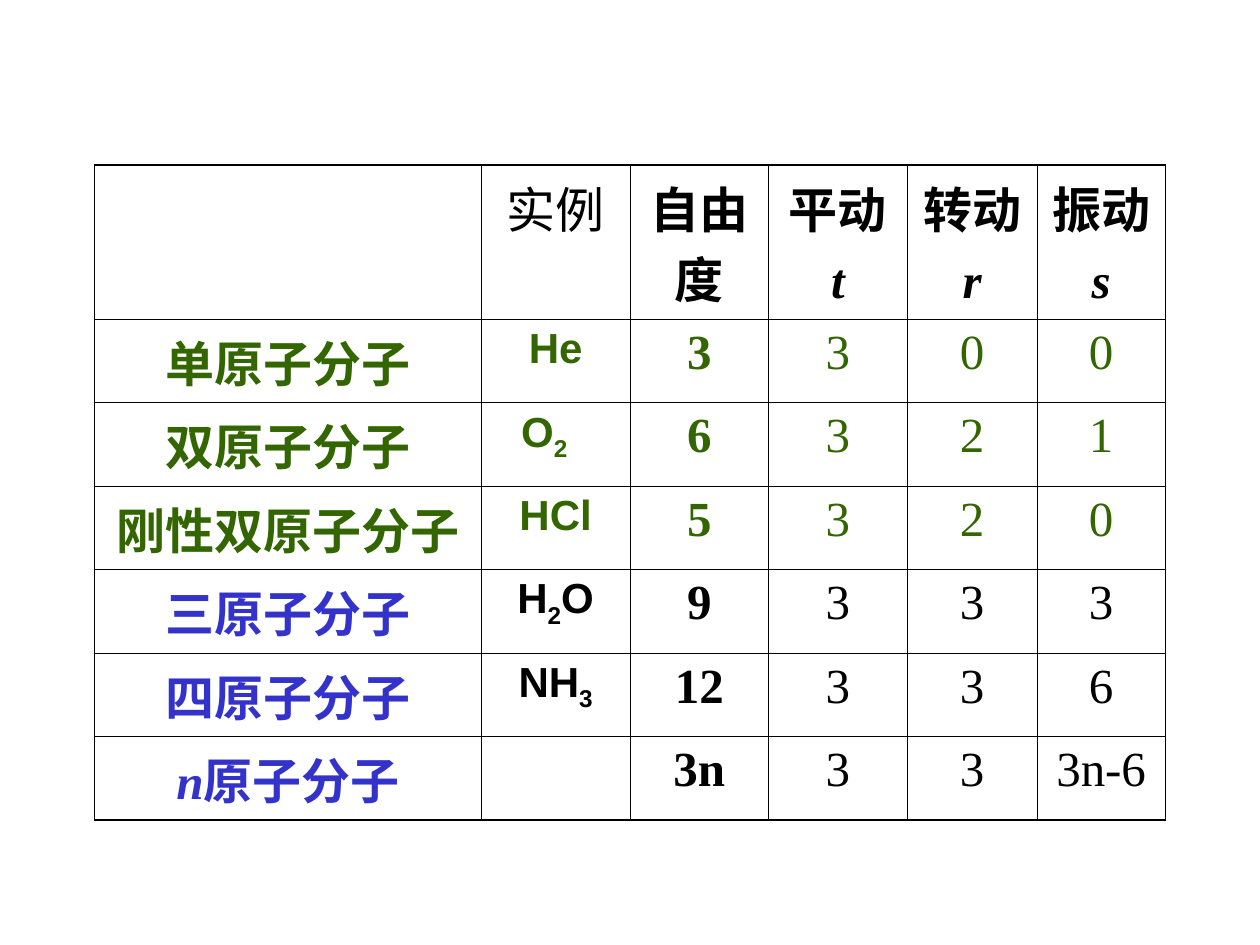
import pptx
import pptx.util
import pptx.dml.color
import pptx.enum.text
from lxml import etree

Inches, Pt = pptx.util.Inches, pptx.util.Pt
NS = "http://schemas.openxmlformats.org/drawingml/2006/main"
COLORS = {"ink": "000000", "green": "336600", "blue": "3333CC"}
THIN, THICK = 0.45, 1.08

# "|" switches to marked text and back: subscript in formulas, italic elsewhere
ROWS = [
    ["", "实例", "自由度", "平动\n|t", "转动\n|r", "振动\n|s"],
    ["单原子分子", "He", "3", "3", "0", "0"],
    ["双原子分子", "O|2", "6", "3", "2", "1"],
    ["刚性双原子分子", "HCl", "5", "3", "2", "0"],
    ["三原子分子", "H|2|O", "9", "3", "3", "3"],
    ["四原子分子", "NH|3", "12", "3", "3", "6"],
    ["|n|原子分子", "", "3n", "3", "3", "3n-6"],
]
WIDTHS = [3.07, 1.18, 1.1, 1.1, 1.03, 1.02]
HEIGHTS = [1.13] + [0.57] * 6


def add_edge(cell, side, width):
    props = cell._tc.get_or_add_tcPr()
    line = etree.SubElement(props, f"{{{NS}}}ln{side}", w=str(int(Pt(width))))
    fill = etree.SubElement(line, f"{{{NS}}}solidFill")
    etree.SubElement(fill, f"{{{NS}}}srgbClr", val=COLORS["ink"])


def write(cell, text, size, face, color, bold, sub):
    """Fill a cell line by line; sub makes marked text subscript, not italic."""
    cell.text_frame.text = text.replace("|", "")
    for para, line in zip(cell.text_frame.paragraphs, text.split("\n")):
        para.text = ""
        para.alignment = pptx.enum.text.PP_ALIGN.CENTER
        para.space_before = Pt(size / 4)
        for i, part in enumerate(line.split("|")):
            if not part:
                continue
            run = para.add_run()
            run.text = part
            font = run.font
            font.size, font.name, font.bold = Pt(size), face, bold
            font.color.rgb = pptx.dml.color.RGBColor.from_string(COLORS[color])
            if i % 2 and sub:
                run._r.get_or_add_rPr().set("baseline", "-25000")
            else:
                font.italic = i % 2 == 1


deck = pptx.Presentation()
deck.slide_width, deck.slide_height = Inches(10), Inches(7.5)
slide = deck.slides.add_slide(deck.slide_layouts[6])
frame = slide.shapes.add_table(
    len(ROWS), len(WIDTHS), Inches(0.75), Inches(1.31),
    Inches(sum(WIDTHS)), Inches(sum(HEIGHTS)))
table = frame.table
table.first_row = table.horz_banding = False
for col, width in zip(table.columns, WIDTHS):
    col.width = Inches(width)
for row, height in zip(table.rows, HEIGHTS):
    row.height = Inches(height)

last_r, last_c = len(ROWS) - 1, len(WIDTHS) - 1
for r, row in enumerate(ROWS):
    for c, text in enumerate(row):
        cell = table.cell(r, c)
        outer = {"L": c == 0, "R": c == last_c, "T": r == 0, "B": r == last_r}
        for side, edge in outer.items():
            add_edge(cell, side, THICK if edge else THIN)
        cell.fill.background()
        if not text:
            continue
        formula = r > 0 and c == 1
        if 1 <= r <= 3:
            color = "green"
        else:
            color = "blue" if c == 0 else "ink"
        bold = c >= 2 if r == 0 else c <= 2
        size, face = (24, "Arial") if formula else (28, "Times New Roman")
        write(cell, text, size, face, color, bold, formula)

# The oxygen formula sits slightly left of its column's centre
table.cell(2, 1).margin_right = Inches(0.28)

deck.save("out.pptx")
